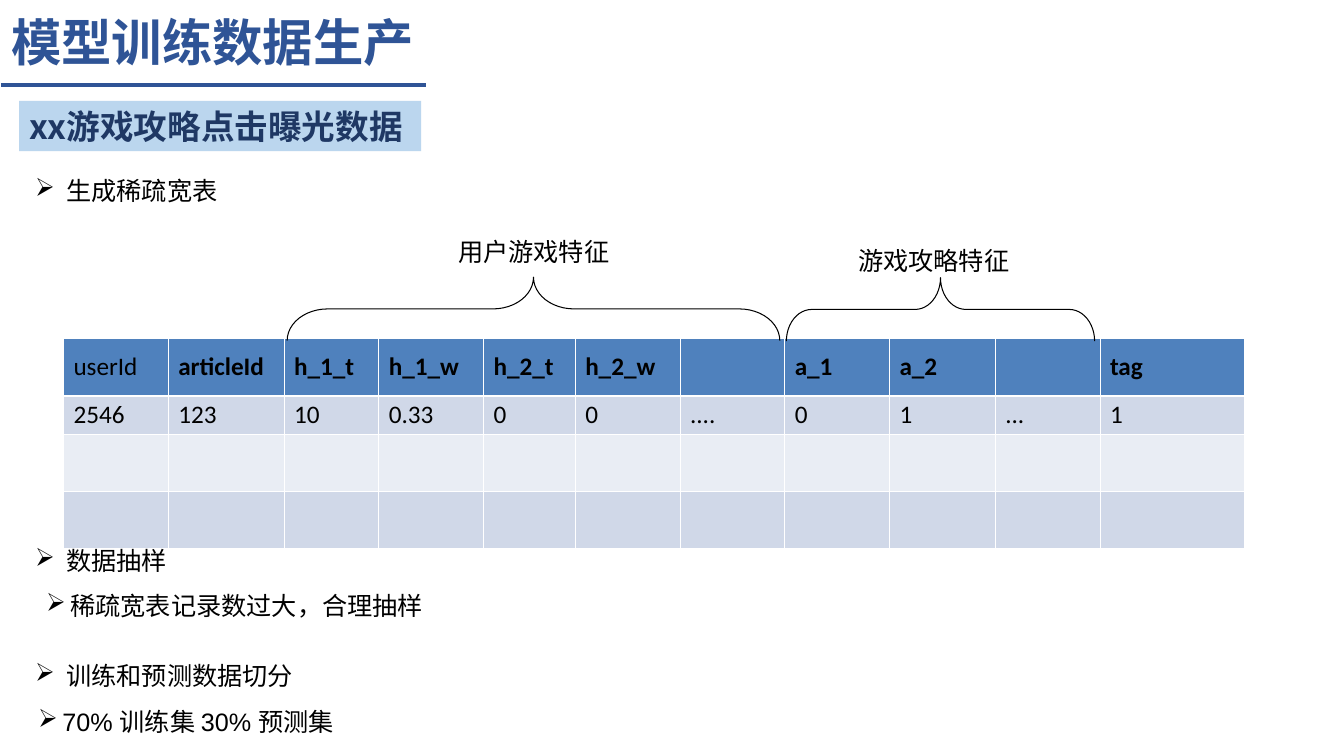
from lxml.etree import SubElement
from pptx import Presentation
from pptx.dml.color import RGBColor
from pptx.enum.shapes import MSO_CONNECTOR as Connector, MSO_SHAPE as Shape
from pptx.enum.text import MSO_ANCHOR as Anchor, PP_ALIGN as Align
from pptx.oxml.ns import qn
from pptx.util import Emu, Pt

TITLE_BLUE = RGBColor(0x2F, 0x54, 0x96)
NAVY = RGBColor(0x1F, 0x38, 0x64)
PALE_BLUE = RGBColor(0xBB, 0xD6, 0xEE)
HEADER_BLUE = RGBColor(0x4F, 0x81, 0xBD)
BAND_DARK = RGBColor(0xD0, 0xD8, 0xE8)
BAND_LIGHT = RGBColor(0xE9, 0xED, 0xF4)
BLACK = RGBColor(0, 0, 0)
WHITE = RGBColor(0xFF, 0xFF, 0xFF)

HAN_FONT = "Noto Sans CJK SC"
EMU_PER_PX = 9144


def px(*lengths):
    return [Emu(length * EMU_PER_PX) for length in lengths]


class SlideBuilder:
    def __init__(self, width, height):
        self.deck = Presentation()
        self.deck.slide_width, self.deck.slide_height = px(width, height)
        self.slide = self.deck.slides.add_slide(self.deck.slide_layouts[5])
        self.shapes = self.slide.shapes

    def add_text(self, paragraph, text, size=18, color=BLACK, font="Arial", bold=False):
        paragraph.alignment = Align.LEFT
        run = paragraph.add_run()
        run.text = text
        run.font.size = Pt(size)
        run.font.bold = bold
        run.font.color.rgb = color
        run.font.name = font
        latin = run.font._element.find(qn("a:latin"))
        east_asian = latin.makeelement(qn("a:ea"), {"typeface": HAN_FONT})
        latin.addnext(east_asian)

    def title(self, text, left, top, width, height):
        heading = self.shapes.title
        heading.left, heading.top, heading.width, heading.height = px(left, top, width, height)
        heading.text_frame.vertical_anchor = Anchor.TOP
        paragraph = heading.text_frame.paragraphs[0]
        paragraph.line_spacing = 0.9
        self.add_text(paragraph, text, 36, TITLE_BLUE, HAN_FONT, True)

    def rule(self, left, top, right):
        line = self.shapes.add_connector(Connector.STRAIGHT, *px(left, top, right, top))
        line.line.color.rgb = TITLE_BLUE
        line.line.width = Pt(3)
        SubElement(line._element.spPr, qn("a:effectLst"))

    def banner(self, text, left, top, width, height):
        box = self.shapes.add_shape(Shape.RECTANGLE, *px(left, top, width, height))
        box.shadow.inherit = False
        box.fill.solid()
        box.fill.fore_color.rgb = PALE_BLUE
        box.line.fill.background()
        box.text_frame.word_wrap = False
        box.text_frame.vertical_anchor = Anchor.MIDDLE
        self.add_text(box.text_frame.paragraphs[0], text, 24, NAVY, HAN_FONT, True)

    def label(self, text, left, top, width, bullet_gap=0):
        box = self.shapes.add_textbox(*px(left, top, width, 40))
        box.text_frame.word_wrap = True
        paragraph = box.text_frame.paragraphs[0]
        if bullet_gap:
            hang = px(bullet_gap)[0]
            properties = paragraph._p.get_or_add_pPr()
            properties.set("marL", str(hang))
            properties.set("indent", str(-hang))
            SubElement(properties, qn("a:buChar"), char="➢")
        self.add_text(paragraph, text)

    def brace(self, left, top, width, height, curve):
        center_x, center_y = left + width / 2, top + height / 2
        brace = self.shapes.add_shape(
            Shape.LEFT_BRACE,
            *px(round(center_x - height / 2), round(center_y - width / 2), height, width))
        brace.rotation = 90
        brace.adjustments[0] = curve
        brace.shadow.inherit = False
        brace.fill.background()
        brace.line.color.rgb = BLACK
        brace.line.width = Pt(0.75)

    def border(self, cell, side, points):
        line = SubElement(cell._tc.get_or_add_tcPr(), qn(f"a:ln{side}"), w=str(Pt(points)))
        fill = SubElement(line, qn("a:solidFill"))
        SubElement(fill, qn("a:srgbClr"), val=str(WHITE))

    def table(self, rows, left, top, widths, heights, fills):
        grid = self.shapes.add_table(
            len(rows), len(widths), *px(left, top, sum(widths), sum(heights))).table
        for column, width in zip(grid.columns, px(*widths)):
            column.width = width
        for row, height in zip(grid.rows, px(*heights)):
            row.height = height
        for r, values in enumerate(rows):
            for c, value in enumerate(values):
                cell = grid.cell(r, c)
                for side in "LRTB":
                    heavy = (r, side) in ((0, "B"), (1, "T"))
                    self.border(cell, side, 1.47 if heavy else 0.45)
                cell.fill.solid()
                cell.fill.fore_color.rgb = fills[r]
                cell.vertical_anchor = Anchor.MIDDLE
                if value:
                    paragraph = cell.text_frame.paragraphs[0]
                    paragraph.line_spacing = 0.9
                    self.add_text(paragraph, value, font="Calibri", bold=r == 0 and c > 0)


def main():
    page = SlideBuilder(1334, 750)
    page.title("模型训练数据生产", 1, 13, 477, 86)
    page.rule(1, 84, 423)
    page.banner("xx游戏攻略点击曝光数据", 19, 100, 399, 50)

    header = ["userId", "articleId", "h_1_t", "h_1_w", "h_2_t", "h_2_w", "",
              "a_1", "a_2", "", "tag"]
    sample = ["2546", "123", "10", "0.33", "0", "0", "....", "0", "1", "...", "1"]
    empty = [""] * len(header)
    page.table([header, sample, empty, empty], 63, 336,
               [104, 115, 94, 104, 91, 104, 104, 104, 105, 104, 143],
               [57, 37, 57, 57],
               [HEADER_BLUE, BAND_DARK, BAND_LIGHT, BAND_DARK])

    page.brace(285, 275, 489, 63, 0.64)
    page.brace(781, 275, 306, 63, 0.4)
    page.label("用户游戏特征", 445, 230, 185)
    page.label("游戏攻略特征", 842, 238, 185)

    for topic, top in (("生成稀疏宽表", 169), ("数据抽样", 536), ("训练和预测数据切分", 650)):
        page.label(topic, 25, top, 300, bullet_gap=31)
    page.label("稀疏宽表记录数过大，合理抽样", 36, 581, 440, bullet_gap=24)
    page.label("70% 训练集 30% 预测集", 28, 696, 377, bullet_gap=24)

    page.deck.save("out.pptx")


if __name__ == "__main__":
    main()
